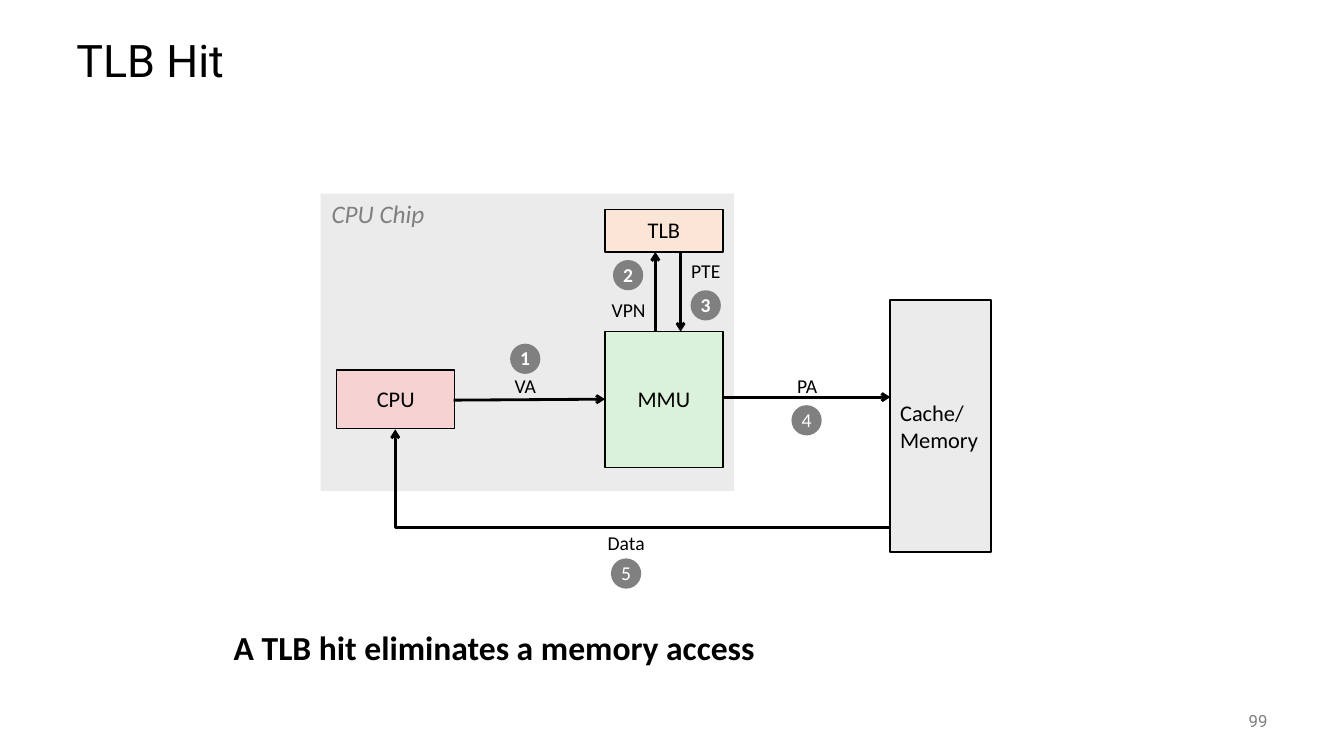
from pptx import Presentation
from pptx.dml.color import RGBColor as RGB
from pptx.enum.shapes import MSO_CONNECTOR as CONN, MSO_SHAPE as SHAPE
from pptx.enum.text import MSO_ANCHOR as ANCHOR, PP_ALIGN as ALIGN
from pptx.oxml.ns import qn
from pptx.oxml.xmlchemy import OxmlElement as Element
from pptx.util import Inches, Pt

HUES = {
    "ink": "000000", "dim": "808080", "white": "FFFFFF", "chip": "EBEBEB",
    "mint": "DBF2DA", "rose": "F6D2D2", "peach": "FBE5D6",
}

# Content: left, top, width, height in inches
CHIP = (3.18, 1.92, 4.1, 2.95)
UNITS = {  # text: place, fill, line width, align
    "MMU": ((6, 3.29, 1.17, 1.35), "mint", 1, "CENTER"),
    "Cache/\nMemory": ((8.83, 2.98, 1, 2.5), "chip", 1.5, "LEFT"),
    "CPU": ((3.34, 3.67, 1.17, 0.58), "rose", 1, "CENTER"),
    "TLB": ((6, 2.08, 1.17, 0.42), "peach", 1, "CENTER"),
}
LABELS = [  # text, left, top, width
    ("PA", 7.8, 3.67, 0.41),
    ("Data", 5.92, 5.23, 0.58),
    ("VA", 5, 3.67, 0.42),
    ("PTE", 6.75, 2.53, 0.5),
    ("VPN", 5.96, 2.92, 0.55),
]
STEPS = [  # left, top, bold; numbered in order
    (5.06, 3.41, True),
    (6.08, 2.58, True),
    (6.85, 2.88, True),
    (7.85, 4.02, False),
    (6.06, 5.54, False),
]
TEXTS = [  # text, place, wrap, anchor, align, font
    ("TLB Hit", (0.66, 0.25, 12, 0.75), True, "MIDDLE", "LEFT",
     {"name": "Roboto", "size": 32}),
    ("CPU Chip", (3.19, 1.92, 1.16, 0.4), False, "TOP", "LEFT",
     {"size": 18, "italic": True, "color": "dim"}),
    ("A TLB hit eliminates a memory access", (2.22, 6.17, 7.86, 0.63),
     True, "TOP", "LEFT", {"size": 24, "bold": True}),
    ("99", (11.67, 6.95, 1, 0.4), True, "MIDDLE", "RIGHT",
     {"name": "Roboto", "size": 12, "color": "dim"}),
]
ARROWS = [  # from x, y, to x, y
    (7.17, 3.94, 8.83, 3.94),
    (4.5, 3.97, 6, 3.96),
    (6.5, 3.29, 6.5, 2.5),
    (6.75, 2.5, 6.75, 3.29),
]
RETURN = (8.83, 5.23, 3.92, 4.26)
DOT = 0.3

deck = Presentation()
deck.slide_width, deck.slide_height = Inches(13.33), Inches(7.5)
shapes = deck.slides.add_slide(deck.slide_layouts[6]).shapes


def paint(hue):
    return RGB.from_string(HUES[hue])


def write(shape, text, wrap=False, anchor="MIDDLE", align="CENTER",
          space=1, font=None):
    frame = shape.text_frame
    frame.word_wrap = wrap
    frame.vertical_anchor = ANCHOR[anchor]
    frame.text = text
    form = {"name": "Calibri", "size": 16, "color": "ink", **(font or {})}
    hue = form.pop("color")
    form["size"] = Pt(form["size"])
    for para in frame.paragraphs:
        para.alignment = ALIGN[align]
        para.line_spacing = space
        para.font.color.rgb = paint(hue)
        for key, value in form.items():
            setattr(para.font, key, value)


def block(kind, place, fill, width=0):
    shape = shapes.add_shape(kind, *map(Inches, place))
    shape.shadow.inherit = False
    shape.fill.solid()
    shape.fill.fore_color.rgb = paint(fill)
    if width:
        shape.line.color.rgb = paint("ink")
        shape.line.width = Pt(width)
    else:
        shape.line.fill.background()
    return shape


def arrow(kind, ends):
    link = shapes.add_connector(kind, *map(Inches, ends))
    link.line.color.rgb = paint("ink")
    link.line.width = Pt(2)
    tail = Element("a:tailEnd")
    tail.set("type", "arrow")
    link.line._get_or_add_ln().append(tail)
    props = link._element.spPr
    props.append(Element("a:effectLst"))
    return props


# Chip and units
block(SHAPE.RECTANGLE, CHIP, "chip")
for name, (place, fill, width, align) in UNITS.items():
    unit = block(SHAPE.RECTANGLE, place, fill, width)
    write(unit, name, align=align, space=0.98 if align == "CENTER" else 1)

# Straight arrows
for ends in ARROWS:
    arrow(CONN.STRAIGHT, ends)

# Data path back to the CPU: one bend, turned half a circle
props = arrow(CONN.ELBOW, RETURN)
props.find(qn("a:prstGeom")).set("prst", "bentConnector2")
turn = props.find(qn("a:xfrm"))
for flip in ("flipH", "flipV"):
    turn.attrib.pop(flip, None)
turn.set("rot", str(180 * 60000))

# Arrow labels
for text, left, top, width in LABELS:
    box = shapes.add_textbox(*map(Inches, (left, top, width, 0.33)))
    write(box, text, space=0.98, font={"size": 14})

# Numbered steps
for num, (left, top, bold) in enumerate(STEPS, 1):
    dot = block(SHAPE.OVAL, (left, top, DOT, DOT), "dim")
    write(dot, str(num), space=0.98,
          font={"size": 14, "bold": bold, "color": "white"})

# Title, chip name, takeaway and page number
for text, place, wrap, anchor, align, font in TEXTS:
    box = shapes.add_textbox(*map(Inches, place))
    space = 0.9 if text == "TLB Hit" else 1
    write(box, text, wrap, anchor, align, space, font)

deck.save("out.pptx")
